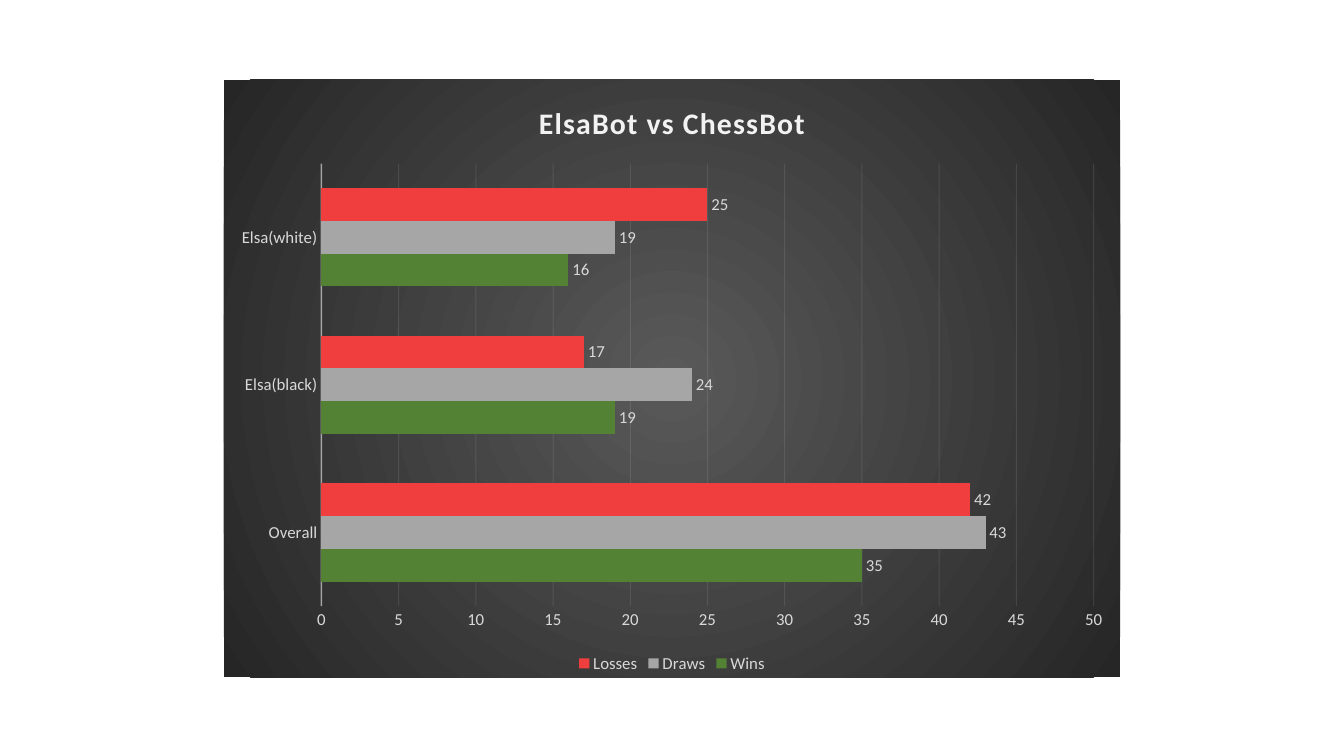
from typing import NamedTuple

from lxml.etree import SubElement
from pptx import Presentation
from pptx.chart.chart import Chart
from pptx.chart.data import CategoryChartData
from pptx.dml.color import RGBColor
from pptx.dml.line import LineFormat
from pptx.enum.chart import XL_CHART_TYPE, XL_LABEL_POSITION, XL_LEGEND_POSITION, XL_TICK_MARK
from pptx.oxml import parse_xml
from pptx.oxml.ns import nsdecls, qn
from pptx.text.text import Font
from pptx.util import Inches, Pt

COLORS = {
    "wins": "548235",
    "draws": "A6A6A6",
    "losses": "F03E3E",
    "text": "D9D9D9",
    "light": "F2F2F2",
    "center": "595959",
    "edge": "262626",
}
CATEGORIES = ("Overall", "Elsa(black)", "Elsa(white)")


class Result(NamedTuple):
    name: str
    values: tuple[int, ...]
    color: str


RESULTS = (
    Result("Wins", (35, 19, 16), "wins"),
    Result("Draws", (43, 24, 19), "draws"),
    Result("Losses", (42, 17, 25), "losses"),
)


def rgb(name: str) -> RGBColor:
    return RGBColor.from_string(COLORS[name])


def style_font(font: Font, size: float = 12, color: str = "text", bold: bool = False) -> None:
    font.name = "Calibri"
    font.size = Pt(size)
    font.bold = bold
    font.color.rgb = rgb(color)


def style_line(line: LineFormat, width: float, opacity: int) -> None:
    """Draw a light line with the given opacity in percent."""
    line.width = Pt(width)
    line.fill.solid()
    line.fill.fore_color.rgb = rgb("light")
    color = line.fill._xPr.find(qn("a:solidFill"))[0]
    SubElement(color, qn("a:alpha")).set("val", str(opacity * 1000))


def fill_background(chart: Chart) -> None:
    """Give the chart area a radial gradient without an outline."""
    sp_pr = parse_xml(
        f'<c:spPr {nsdecls("c", "a")}><a:gradFill><a:gsLst>'
        f'<a:gs pos="0"><a:srgbClr val="{COLORS["center"]}"/></a:gs>'
        f'<a:gs pos="100000"><a:srgbClr val="{COLORS["edge"]}"/></a:gs>'
        '</a:gsLst><a:path path="circle">'
        '<a:fillToRect l="50000" t="50000" r="50000" b="50000"/>'
        '</a:path></a:gradFill><a:ln><a:noFill/></a:ln></c:spPr>'
    )
    chart._chartSpace.find(qn("c:chart")).addnext(sp_pr)


def add_title(chart: Chart, text: str) -> None:
    chart.has_title = True
    chart.chart_title.include_in_layout = False
    r = chart.chart_title.text_frame.paragraphs[0].add_run()
    r.text = text
    style_font(r.font, 21.3, "light", True)
    r.font._element.set("spc", "100")


def style_axes(chart: Chart) -> None:
    for axis in (chart.category_axis, chart.value_axis):
        axis.major_tick_mark = axis.minor_tick_mark = XL_TICK_MARK.NONE
        style_font(axis.tick_labels.font)
    style_line(chart.category_axis.format.line, 1, 54)
    values = chart.value_axis
    values.minimum_scale, values.maximum_scale, values.major_unit = 0, 50, 5
    values.format.line.fill.background()
    values.has_major_gridlines = True
    style_line(values.major_gridlines.format.line, 0.75, 10)


def style_bars(chart: Chart) -> None:
    plot = chart.plots[0]
    plot.gap_width = 150
    plot.overlap = 0
    plot.vary_by_categories = False
    for series, result in zip(plot.series, RESULTS):
        series.format.fill.solid()
        series.format.fill.fore_color.rgb = rgb(result.color)
        labels = series.data_labels
        labels.show_value = True
        labels.position = XL_LABEL_POSITION.OUTSIDE_END
        style_font(labels.font)


def main() -> None:
    prs = Presentation()
    prs.slide_width, prs.slide_height = Inches(13.33), Inches(7.5)
    s = prs.slides.add_slide(prs.slide_layouts[6])
    data = CategoryChartData()
    data.categories = CATEGORIES
    for result in RESULTS:
        data.add_series(result.name, result.values)
    chart = s.shapes.add_chart(
        XL_CHART_TYPE.BAR_CLUSTERED,
        Inches(2.22), Inches(0.79), Inches(8.89), Inches(5.93), data,
    ).chart
    style_font(chart.font, 10)
    fill_background(chart)
    add_title(chart, "ElsaBot vs ChessBot")
    style_axes(chart)
    style_bars(chart)
    chart.has_legend = True
    chart.legend.position = XL_LEGEND_POSITION.BOTTOM
    chart.legend.include_in_layout = False
    style_font(chart.legend.font)
    prs.save("out.pptx")


if __name__ == "__main__":
    main()
